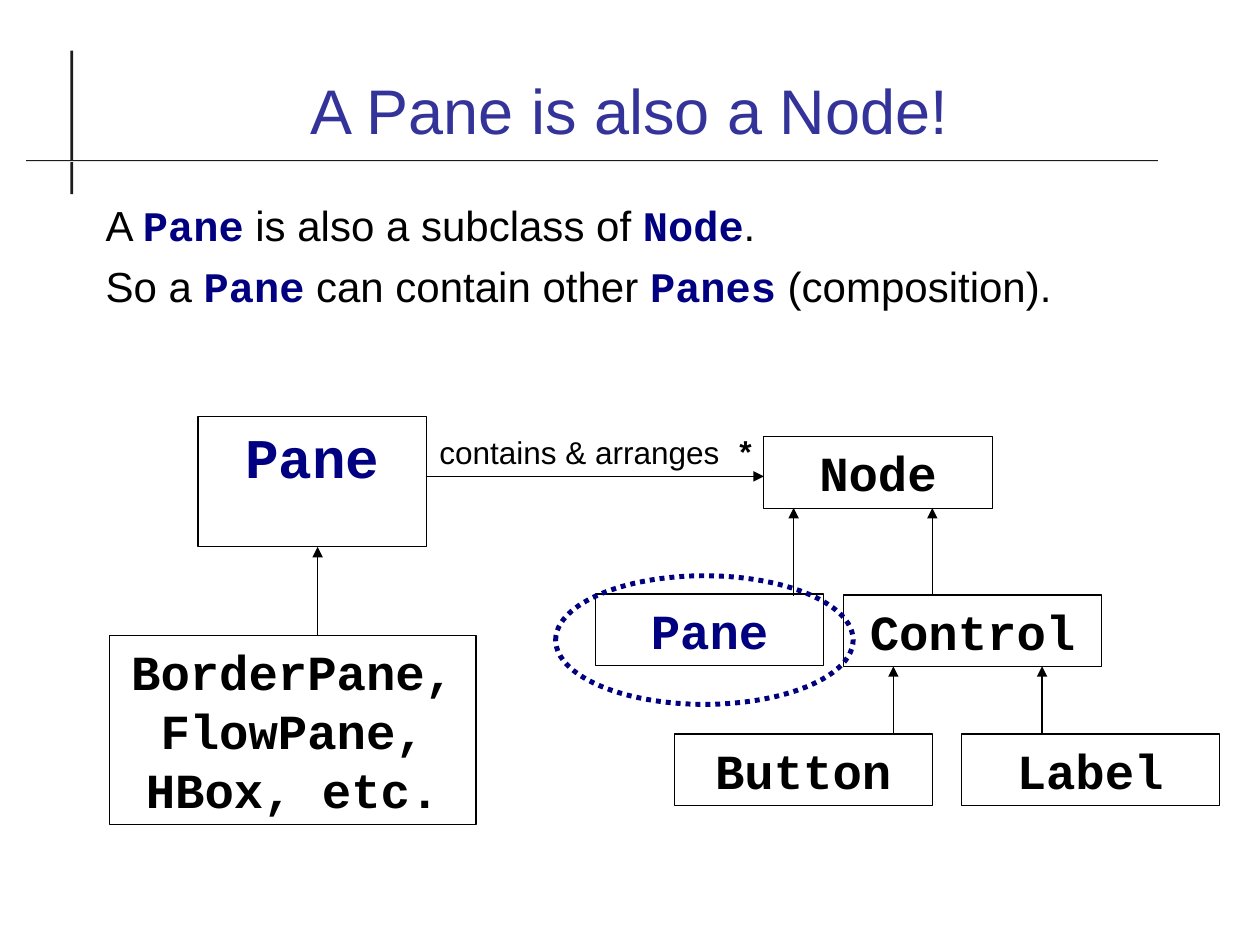
"""Build the slide that shows a Pane as a Node that can contain other Panes."""
from lxml.etree import SubElement
from pptx import Presentation
from pptx.dml.color import RGBColor
from pptx.enum.dml import MSO_LINE
from pptx.enum.shapes import MSO_CONNECTOR, MSO_SHAPE
from pptx.enum.text import MSO_ANCHOR, PP_ALIGN
from pptx.oxml.ns import qn
from pptx.util import Pt

COLORS = {
    "title": "333399",
    "accent": "000080",
    "text": "000000",
    "rule": "1C1C1C",
    "background": "FFFFFF",
}
SANS, MONO = "Arial", "Courier New"


def color(name):
    return RGBColor.from_string(COLORS[name])


def points(*values):
    return [Pt(value) for value in values]


def format_font(font, size, family, color_name, bold=False):
    font.size, font.name, font.bold = Pt(size), family, bold
    font.color.rgb = color(color_name)


def add_title(slide, text):
    title = slide.shapes.title
    title.left, title.top, title.width, title.height = points(48.24, 20, 622.8, 67.5)
    frame = title.text_frame
    frame.text = text
    frame.vertical_anchor = MSO_ANCHOR.BOTTOM
    paragraph = frame.paragraphs[0]
    paragraph.alignment = PP_ALIGN.CENTER
    format_font(paragraph.runs[0].font, 36, SANS, "title")


def add_rule(slide, *bounds):
    rule = slide.shapes.add_shape(MSO_SHAPE.RECTANGLE, *points(*bounds))
    rule.shadow.inherit = False
    rule.line.fill.background()
    rule.fill.solid()
    rule.fill.fore_color.rgb = color("rule")
    return rule


def fade_rule(rule):
    rule.fill.gradient()
    rule.fill.gradient_angle = 90
    for stop, name in zip(rule.fill.gradient_stops, ("background", "rule")):
        stop.color.rgb = color(name)


def add_text(slide, bounds, lines, size, code_color, tab=None):
    """Add paragraphs whose odd-numbered pieces are set as bold code."""
    frame = slide.shapes.add_textbox(*points(*bounds)).text_frame
    frame.word_wrap = True
    for index, pieces in enumerate(lines):
        paragraph = frame.add_paragraph() if index else frame.paragraphs[0]
        paragraph.space_before = Pt(6 if index else 0)
        if tab:
            tabs = SubElement(paragraph._p.get_or_add_pPr(), qn("a:tabLst"))
            SubElement(tabs, qn("a:tab"), pos=str(Pt(tab)), algn="l")
        for position, piece in enumerate(pieces):
            run = paragraph.add_run()
            run.text = piece
            if position % 2:
                format_font(run.font, size, MONO, code_color, True)
            else:
                format_font(run.font, size, SANS, "text")


def add_outline(slide, kind, bounds, color_name, width):
    shape = slide.shapes.add_shape(kind, *points(*bounds))
    shape.shadow.inherit = False
    shape.fill.background()
    shape.line.color.rgb = color(color_name)
    shape.line.width = Pt(width)
    return shape


def add_class_box(slide, text, bounds, size=28, color_name="text"):
    box = add_outline(slide, MSO_SHAPE.RECTANGLE, bounds, "text", 0.75)
    frame = box.text_frame
    frame.word_wrap = True
    frame.vertical_anchor = MSO_ANCHOR.TOP
    frame.text = text
    paragraph = frame.paragraphs[0]
    paragraph.alignment = PP_ALIGN.CENTER
    for run in paragraph.runs:
        format_font(run.font, size, MONO, color_name, True)


def add_arrow(slide, *ends):
    arrow = slide.shapes.add_connector(MSO_CONNECTOR.STRAIGHT, *points(*ends))
    arrow.line.color.rgb = color("text")
    arrow.line.width = Pt(0.75)
    SubElement(arrow.line._get_or_add_ln(), qn("a:tailEnd"), type="triangle")
    SubElement(arrow._element.spPr, qn("a:effectLst"))


def add_class_diagram(slide):
    narrow, wide, low = 130.5, 147.5, 41
    add_class_box(slide, "Pane", (113.25, 238, narrow, 74.25), 32, "accent")
    add_class_box(slide, "Node", (436.5, 249.5, narrow, low))
    add_class_box(slide, "Control", (482, 340, wide, low))
    for text, left in (("Button", 385.25), ("Label", 549.25)):
        add_class_box(slide, text, (left, 419.5, wide, low))
    add_class_box(slide, "BorderPane,\vFlowPane,\vHBox, etc.", (62.5, 363, 209.5, 108))
    add_class_box(slide, "Pane", (340.25, 339.5, narrow, low), color_name="accent")
    for x, start, end in (
        (181.5, 363, 312.5),
        (453.5, 340.5, 290.25),
        (532.75, 340.5, 290.25),
        (510.5, 419.5, 380.75),
        (595.5, 419.5, 380.75),
    ):
        add_arrow(slide, x, start, x, end)
    add_arrow(slide, 244, 272.25, 436.5, 272.25)
    label = [("contains & arranges\t", "*")]
    add_text(slide, (244, 244, 198.75, 50.5), label, 18, "text", tab=169.5)
    ellipse = add_outline(
        slide, MSO_SHAPE.OVAL, (317.5, 329, 170, 73.5), "accent", 2.83)
    ellipse.line.dash_style = MSO_LINE.ROUND_DOT


def main():
    presentation = Presentation()
    presentation.slide_width, presentation.slide_height = points(720, 540)
    slide = presentation.slides.add_slide(presentation.slide_layouts[5])
    add_rule(slide, 40.25, 29, 1.5, 82)
    fade_rule(add_rule(slide, 15, 91.25, 646.5, 1.25))
    add_title(slide, "A Pane is also a Node!")
    add_text(slide, (53.25, 110.25, 622.8, 88), [
        ("A ", "Pane", " is also a subclass of ", "Node", "."),
        ("So a ", "Pane", " can contain other ", "Panes", " (composition)."),
    ], 24, "accent")
    add_class_diagram(slide)
    presentation.save("out.pptx")


if __name__ == "__main__":
    main()
